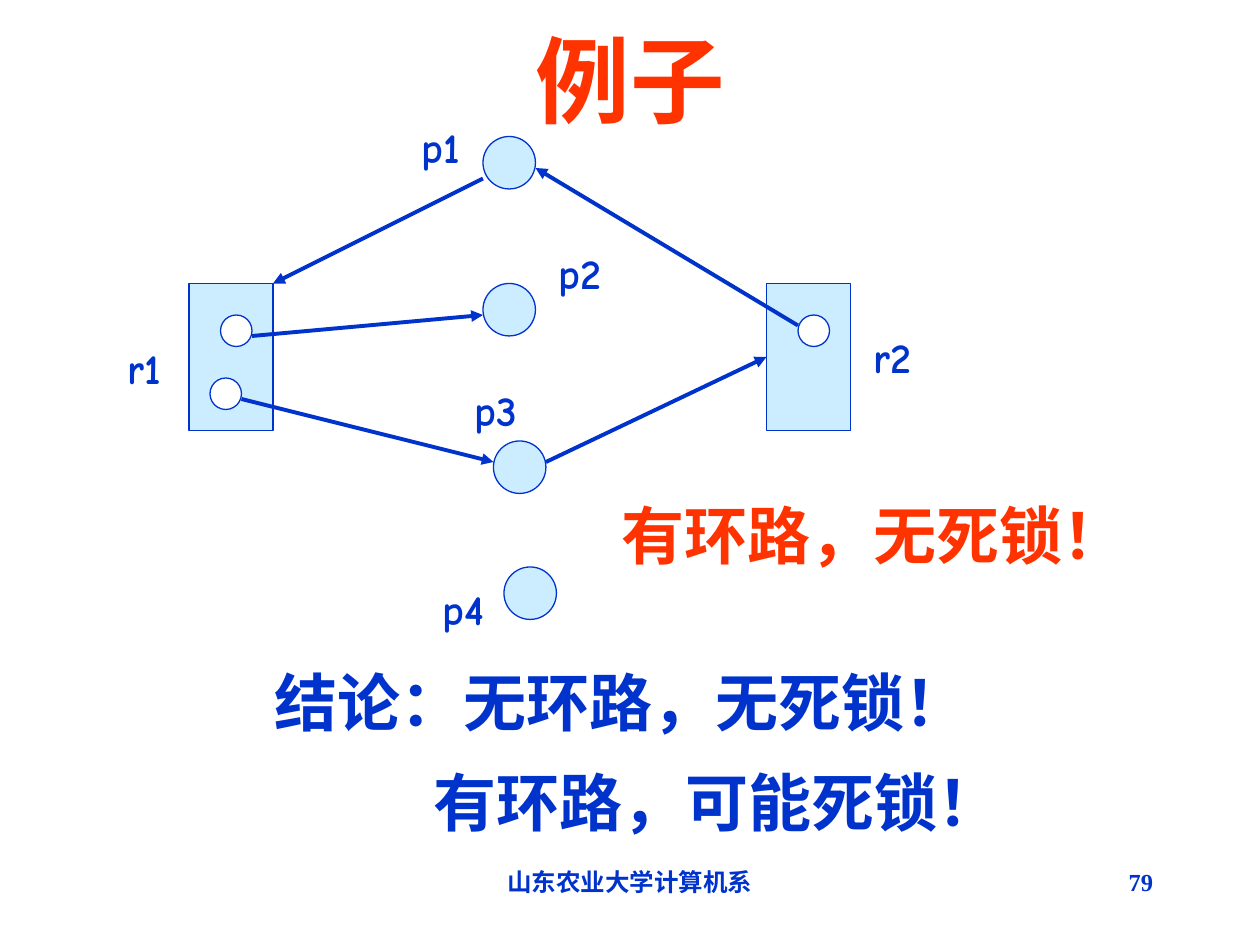
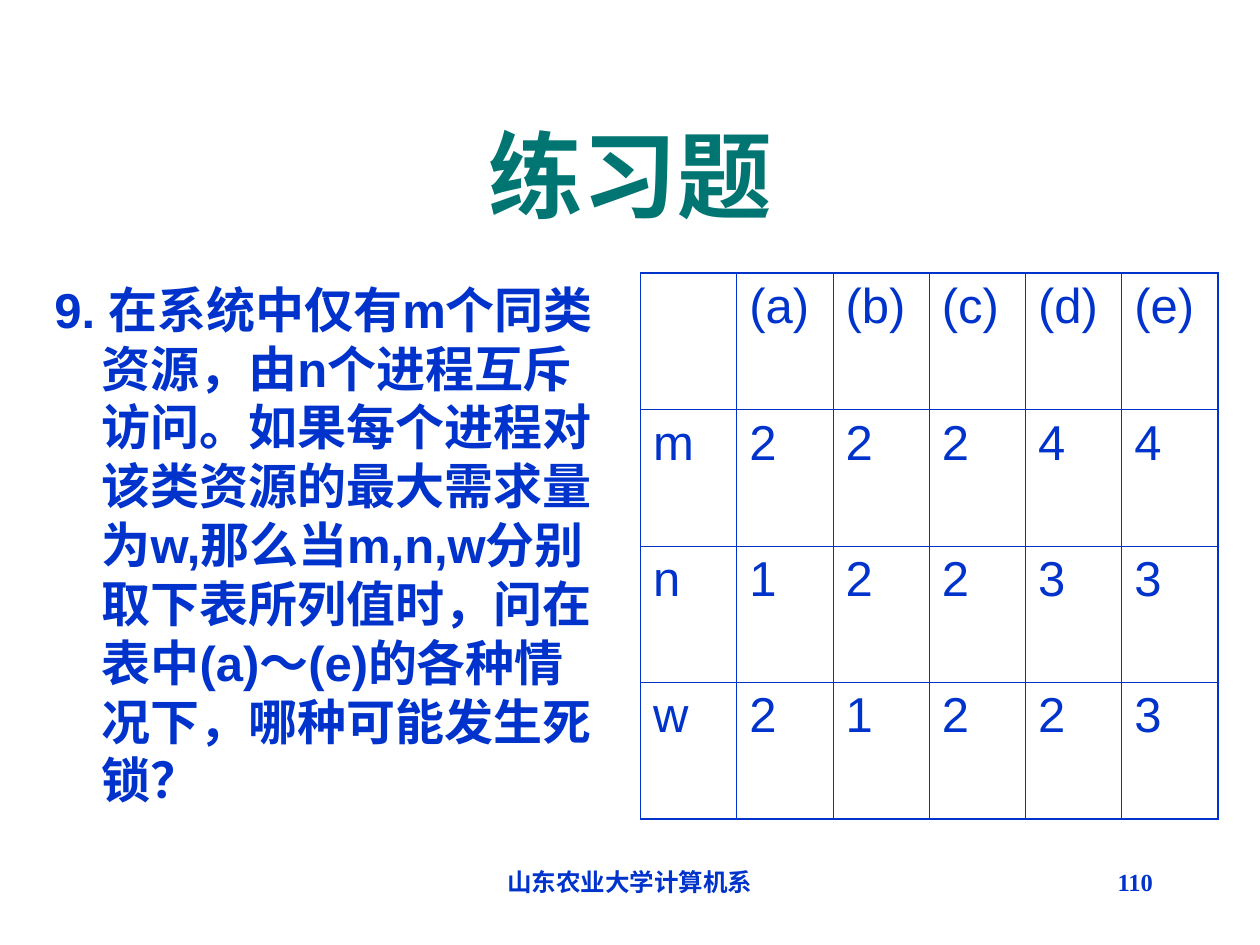
from dataclasses import dataclass
from typing import NamedTuple

from lxml.etree import SubElement
from pptx import Presentation
from pptx.dml.color import RGBColor
from pptx.enum.lang import MSO_LANGUAGE_ID
from pptx.enum.shapes import MSO_CONNECTOR, MSO_SHAPE
from pptx.enum.text import MSO_ANCHOR, PP_ALIGN
from pptx.oxml.ns import qn
from pptx.util import Inches, Length, Pt

# Shared look
COLORS = {
    "blue": "0033CC",
    "pale": "CCECFF",
    "white": "FFFFFF",
    "red": "FF3300",
    "teal": "007572",
}
DEPARTMENT = "山东农业大学计算机系"
COLUMNS, ROWS = 120, 90  # grid of the 10 x 7.5 inch slide


class Area(NamedTuple):
    col: float
    row: float
    cols: float
    rows: float


@dataclass(frozen=True)
class Style:
    size: float
    color: str = "blue"
    font: str = "Arial"
    bold: bool = True
    align: PP_ALIGN = PP_ALIGN.LEFT


@dataclass(frozen=True)
class Node:
    label: str
    label_area: Area
    area: Area
    slots: tuple[tuple[float, float], ...] = ()


class Arrow(NamedTuple):
    start: tuple[float, float]
    end: tuple[float, float]


FOOTER = Style(14, font="Times New Roman", align=PP_ALIGN.CENTER)
PAGE_NUMBER = Style(14, font="Times New Roman", align=PP_ALIGN.RIGHT)
NODE_LABEL = Style(24, font="Comic Neue")
VERDICT = Style(36, "red", align=PP_ALIGN.CENTER)
CONCLUSION = Style(36)
QUESTION = Style(28)
TABLE_TEXT = Style(28, bold=False)

# Resource graph
PROCESSES = (
    Node("p1", Area(39, 11, 9, 6), Area(46, 13, 5, 5)),
    Node("p2", Area(52, 23, 7, 6), Area(46, 27, 5, 5)),
    Node("p3", Area(44, 36, 7, 6), Area(47, 42, 5, 5)),
    Node("p4", Area(41, 55, 8, 6), Area(48, 54, 5, 5)),
)
RESOURCES = (
    Node("r1", Area(11, 32, 8, 6), Area(18, 27, 8, 14), ((21, 30), (20, 36))),
    Node("r2", Area(82, 31, 7, 6), Area(73, 27, 8, 14), ((76, 30),)),
)
SLOT_SIZE = 3
ARROWS = (
    Arrow((76, 31), (51, 16)),
    Arrow((23, 38), (47, 44)),
    Arrow((24, 32), (46, 30)),
    Arrow((46, 17), (26, 27)),
    Arrow((52, 44), (73, 34)),
)

# Exercise
EXERCISE = (
    "9. 在系统中仅有m个同类资源，由n个进程互斥访问。如果每个进程对该类资源的"
    "最大需求量为w,那么当m,n,w分别取下表所列值时，问在表中(a)～(e)的各种情况下，"
    "哪种可能发生死锁？"
)
CASES = (
    ("", "(a)", "(b)", "(c)", "(d)", "(e)"),
    ("m", "2", "2", "2", "4", "4"),
    ("n", "1", "2", "2", "3", "3"),
    ("w", "2", "1", "2", "2", "3"),
)


def grid(units: float) -> Length:
    return Inches(10 * units / COLUMNS)


def place(area: Area) -> tuple[Length, ...]:
    return tuple(grid(units) for units in area)


def rgb(color: str) -> RGBColor:
    return RGBColor.from_string(COLORS[color])


def format_text(frame, style: Style) -> None:
    for paragraph in frame.paragraphs:
        paragraph.alignment = style.align
        for run in paragraph.runs:
            run.font.size = Pt(style.size)
            run.font.name = style.font
            run.font.bold = style.bold
            run.font.color.rgb = rgb(style.color)
            run.font.language_id = MSO_LANGUAGE_ID.SIMPLIFIED_CHINESE


def add_text(slide, text: str, area: Area, style: Style, wrap: bool = True):
    frame = slide.shapes.add_textbox(*place(area)).text_frame
    frame.word_wrap = wrap
    frame.text = text
    format_text(frame, style)
    return frame


def indent(paragraph, left: float, first: float = 0) -> None:
    properties = paragraph._p.get_or_add_pPr()
    properties.set("marL", str(grid(left)))
    properties.set("indent", str(grid(first)))


def add_page(deck, title: str, color: str, title_row: float, number: str):
    """Add a slide with its title, footer and page number."""
    slide = deck.slides.add_slide(deck.slide_layouts[5])
    heading = slide.shapes.title
    heading.left, heading.top, heading.width, heading.height = place(
        Area(4, title_row, 112, 15))
    heading.text_frame.text = title
    heading.text_frame.vertical_anchor = MSO_ANCHOR.MIDDLE
    format_text(heading.text_frame, Style(54, color, align=PP_ALIGN.CENTER))
    add_text(slide, DEPARTMENT, Area(41, 82, 38, 6), FOOTER)
    add_text(slide, number, Area(86, 82, 25, 6), PAGE_NUMBER)
    return slide


def add_outline(slide, kind: MSO_SHAPE, area: Area, fill: str) -> None:
    outline = slide.shapes.add_shape(kind, *place(area))
    outline.shadow.inherit = False
    outline.fill.solid()
    outline.fill.fore_color.rgb = rgb(fill)
    outline.line.color.rgb = rgb("blue")
    outline.line.width = Pt(0.75)


def add_node(slide, node: Node, kind: MSO_SHAPE) -> None:
    add_outline(slide, kind, node.area, "pale")
    for col, row in node.slots:
        add_outline(slide, MSO_SHAPE.OVAL,
                    Area(col, row, SLOT_SIZE, SLOT_SIZE), "white")
    add_text(slide, node.label, node.label_area, NODE_LABEL)


def add_arrow(slide, arrow: Arrow) -> None:
    edge = slide.shapes.add_connector(
        MSO_CONNECTOR.STRAIGHT, *map(grid, arrow.start + arrow.end))
    edge.line.color.rgb = rgb("blue")
    edge.line.width = Pt(2.25)
    SubElement(edge.line._get_or_add_ln(), qn("a:tailEnd"), type="triangle")
    SubElement(edge._element.spPr, qn("a:effectLst"))


def add_border(cell, side: str, width: float) -> None:
    border = SubElement(cell._tc.get_or_add_tcPr(), qn(f"a:ln{side}"), w=str(Pt(width)))
    fill = SubElement(border, qn("a:solidFill"))
    SubElement(fill, qn("a:srgbClr"), val=COLORS["blue"])


def add_case_table(slide, area: Area) -> None:
    last_row, last_col = len(CASES) - 1, len(CASES[0]) - 1
    table = slide.shapes.add_table(
        last_row + 1, last_col + 1, *place(area)).table
    table.first_row = table.horz_banding = False
    for r, values in enumerate(CASES):
        for c, value in enumerate(values):
            cell = table.cell(r, c)
            cell.text_frame.text = value
            format_text(cell.text_frame, TABLE_TEXT)
            outer = {"L": c == 0, "R": c == last_col,
                     "T": r == 0, "B": r == last_row}
            for side, is_outer in outer.items():
                add_border(cell, side, 1.08 if is_outer else 0.45)
            cell.fill.background()


def build_example(deck) -> None:
    slide = add_page(deck, "例子", "red", 0, "79")
    for resource in RESOURCES:
        add_node(slide, resource, MSO_SHAPE.RECTANGLE)
    for process in PROCESSES:
        add_node(slide, process, MSO_SHAPE.OVAL)
    for arrow in ARROWS:
        add_arrow(slide, arrow)

    # Conclusions
    conclusion = add_text(slide, "结论：无环路，无死锁！\n有环路，可能死锁！",
                          Area(25, 64, 82, 22.3), CONCLUSION)
    for paragraph in conclusion.paragraphs:
        paragraph.line_spacing = 0.8
    second = conclusion.paragraphs[1]
    second.space_before = Pt(22.5)
    indent(second, 15.1)
    add_text(slide, "有环路，无死锁！", Area(58, 46.7, 50.4, 8.4), VERDICT, wrap=False)


def build_exercise(deck) -> None:
    slide = add_page(deck, "练习题", "teal", 9, "110")
    question = add_text(slide, EXERCISE, Area(4, 26, 55, 52), QUESTION)
    indent(question.paragraphs[0], 4.5, -4.5)
    add_case_table(slide, Area(61, 26, 55, 52))


def main() -> None:
    deck = Presentation()
    deck.slide_width, deck.slide_height = grid(COLUMNS), grid(ROWS)
    build_example(deck)
    build_exercise(deck)
    deck.save("out.pptx")


if __name__ == "__main__":
    main()
